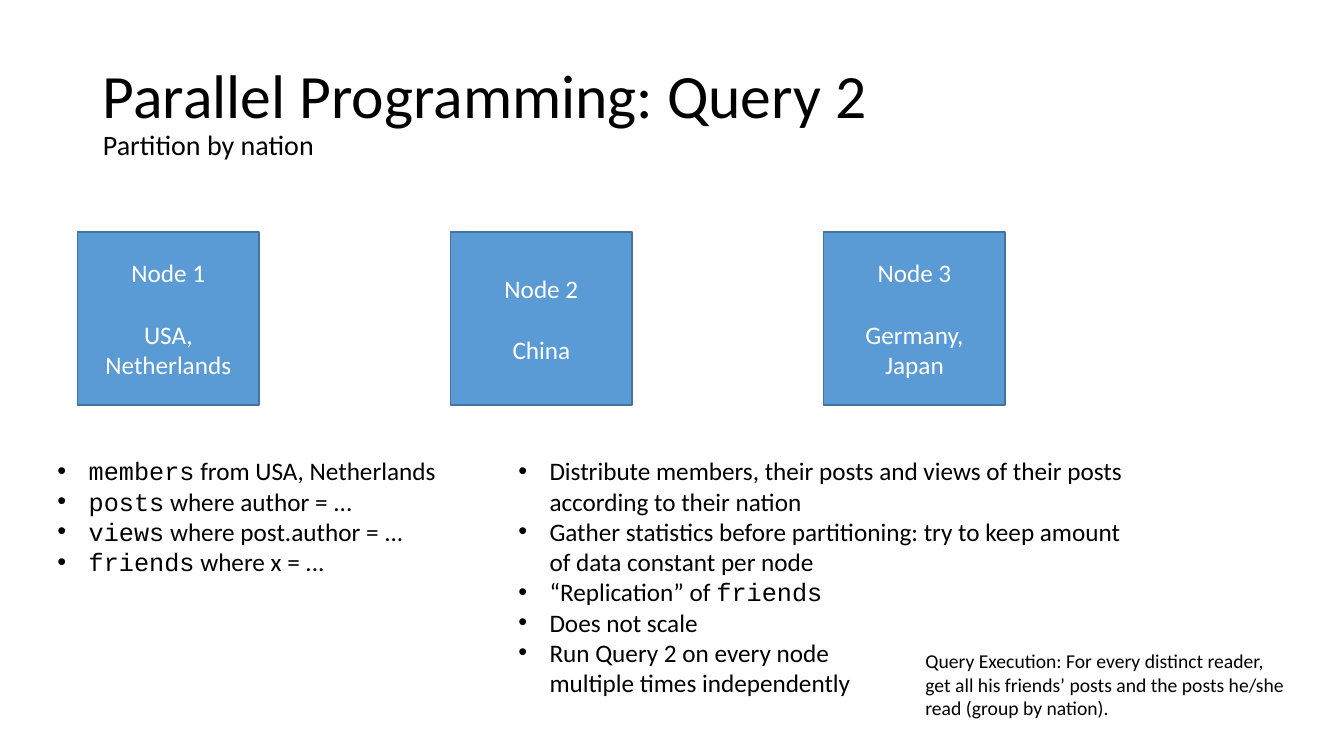
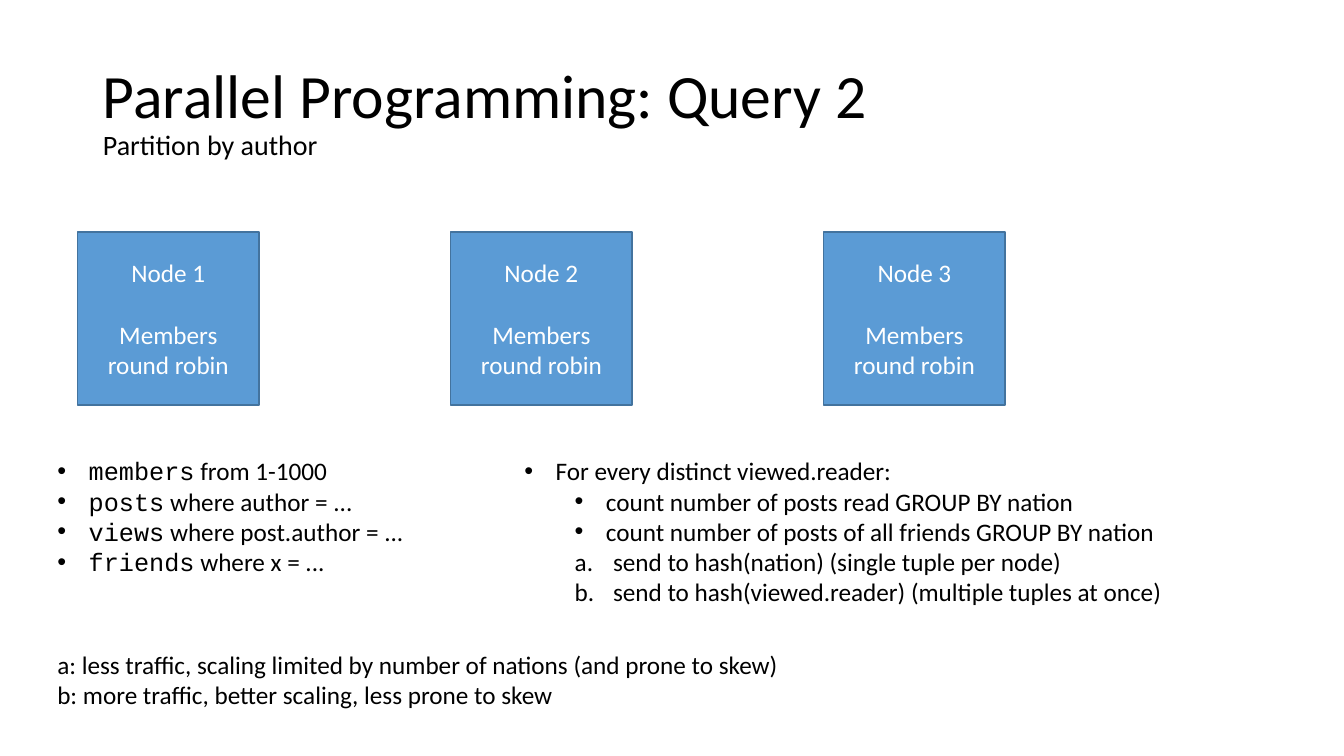
from pptx import Presentation
from pptx.dml.color import RGBColor
from pptx.enum.shapes import MSO_SHAPE as Shape
from pptx.enum.text import MSO_ANCHOR as Anchor, MSO_AUTO_SIZE as AutoSize, PP_ALIGN as Align
from pptx.oxml.ns import qn
from pptx.util import Pt
from lxml.etree import SubElement

PX = 9144
BLACK = RGBColor(0x00, 0x00, 0x00)
WHITE = RGBColor(0xFF, 0xFF, 0xFF)
BLUE = RGBColor(0x5B, 0x9B, 0xD5)
DARK_BLUE = RGBColor(0x43, 0x73, 0x9E)
TEXT_FONT, CODE_FONT = "Calibri", "Courier New"

TITLE_AT = (92, 40, 1150, 145)
NODE_LEFT, NODE_TOP, NODE_WIDTH, NODE_HEIGHT, NODE_STEP = 77, 230, 180, 172, 370
LIST_TOP = 447
NOTE_TOP = 639
BULLET = dict(marker="•", indent=31, hanging=31)
SUB_BULLET = dict(marker="•", indent=81, hanging=31, level=1)
LETTERED = dict(marker="a.", indent=88, hanging=38, level=1)


def write(frame, text, size=18, color=BLACK, align=Align.LEFT, spacing=1.0,
          before=0, marker=None, indent=0, hanging=0, level=0):
    """Add paragraphs; \\v breaks a line and backticks enclose code."""
    for line in text.split("\n"):
        last = frame.paragraphs[-1]
        para = frame.add_paragraph() if last.runs else last
        para.alignment, para.level = align, level
        para.line_spacing, para.space_before = spacing, Pt(before)
        for part, piece in enumerate(line.split("`")):
            for row, words in enumerate(piece.split("\v")):
                if row:
                    para.add_line_break()
                if words:
                    run = para.add_run()
                    run.text = words
                    run.font.name = CODE_FONT if part % 2 else TEXT_FONT
                    run.font.size = Pt(size)
                    run.font.color.rgb = color
        if marker:
            props = para._p.get_or_add_pPr()
            props.set("marL", str(indent * PX))
            props.set("indent", str(-hanging * PX))
            if marker == "a.":
                SubElement(props, qn("a:buAutoNum"), type="alphaLcPeriod")
            else:
                SubElement(props, qn("a:buFont"), typeface="Arial")
                SubElement(props, qn("a:buChar"), char=marker)


class Deck:
    def __init__(self):
        self.prs = Presentation()
        self.prs.slide_width, self.prs.slide_height = 1333 * PX, 750 * PX
        self.slide = None

    def place(self, idx, at):
        holder = self.slide.placeholders[idx]
        holder.left, holder.top, holder.width, holder.height = (n * PX for n in at)
        holder.text_frame.auto_size = AutoSize.NONE
        return holder.text_frame

    def start(self, subtitle):
        self.slide = self.prs.slides.add_slide(self.prs.slide_layouts[3])
        heading = self.place(0, TITLE_AT)
        heading.vertical_anchor = Anchor.MIDDLE
        write(heading, "Parallel Programming: Query 2", size=44, spacing=0.9)
        write(heading, subtitle, size=20, spacing=0.9)

    def nodes(self, contents):
        for i, content in enumerate(contents):
            node = self.slide.shapes.add_shape(
                Shape.RECTANGLE, (NODE_LEFT + i * NODE_STEP) * PX, NODE_TOP * PX,
                NODE_WIDTH * PX, NODE_HEIGHT * PX)
            node.shadow.inherit = False
            node.fill.solid()
            node.fill.fore_color.rgb = BLUE
            node.line.color.rgb = DARK_BLUE
            node.line.width = Pt(1)
            frame = node.text_frame
            frame.vertical_anchor = Anchor.MIDDLE
            write(frame, f"Node {i + 1}", color=WHITE, align=Align.CENTER)
            write(frame, content, color=WHITE, align=Align.CENTER, before=22)

    def bullets(self, idx, at, *groups):
        frame = self.place(idx, at)
        for text, style in groups:
            write(frame, text, **style)

    def stored_data(self, members):
        self.bullets(1, (47, LIST_TOP, 400, 162), (
            f"`members` from {members}\n"
            "`posts` where author = ...\n"
            "`views` where post.author = ...\n"
            "`friends` where x = ...", BULLET))

    def note(self, text, at, size):
        box = self.slide.shapes.add_textbox(*(n * PX for n in at))
        box.text_frame.word_wrap = True
        write(box.text_frame, text, size=size)


def main():
    deck = Deck()

    deck.start("Partition by nation")
    deck.nodes(["USA,\vNetherlands", "China", "Germany,\vJapan"])
    deck.stored_data("USA, Netherlands")
    deck.bullets(2, (504, LIST_TOP, 626, 252), (
        "Distribute members, their posts and views of their posts\v"
        "according to their nation\n"
        "Gather statistics before partitioning: try to keep amount\v"
        "of data constant per node\n"
        "“Replication” of `friends`\n"
        "Does not scale\n"
        "Run Query 2 on every node\vmultiple times independently", BULLET))
    deck.note("Query Execution: For every distinct reader,\n"
              "get all his friends’ posts and the posts he/she\n"
              "read (group by nation).", (908, NOTE_TOP, 380, 81), 14)

    deck.start("Partition by author")
    deck.nodes(["Members\vround robin"] * 3)
    deck.stored_data("1-1000")
    deck.bullets(
        2, (510, LIST_TOP, 755, 192),
        ("For every distinct viewed.reader:", BULLET),
        ("count number of posts read GROUP BY nation\n"
         "count number of posts of all friends GROUP BY nation", SUB_BULLET),
        ("send to hash(nation) (single tuple per node)\n"
         "send to hash(viewed.reader) (multiple tuples at once)", LETTERED))
    deck.note("a: less traffic, scaling limited by number of nations (and prone to skew)\n"
              "b: more traffic, better scaling, less prone to skew",
              (47, NOTE_TOP, 1146, 71), 18)

    deck.prs.save("out.pptx")


if __name__ == "__main__":
    main()
